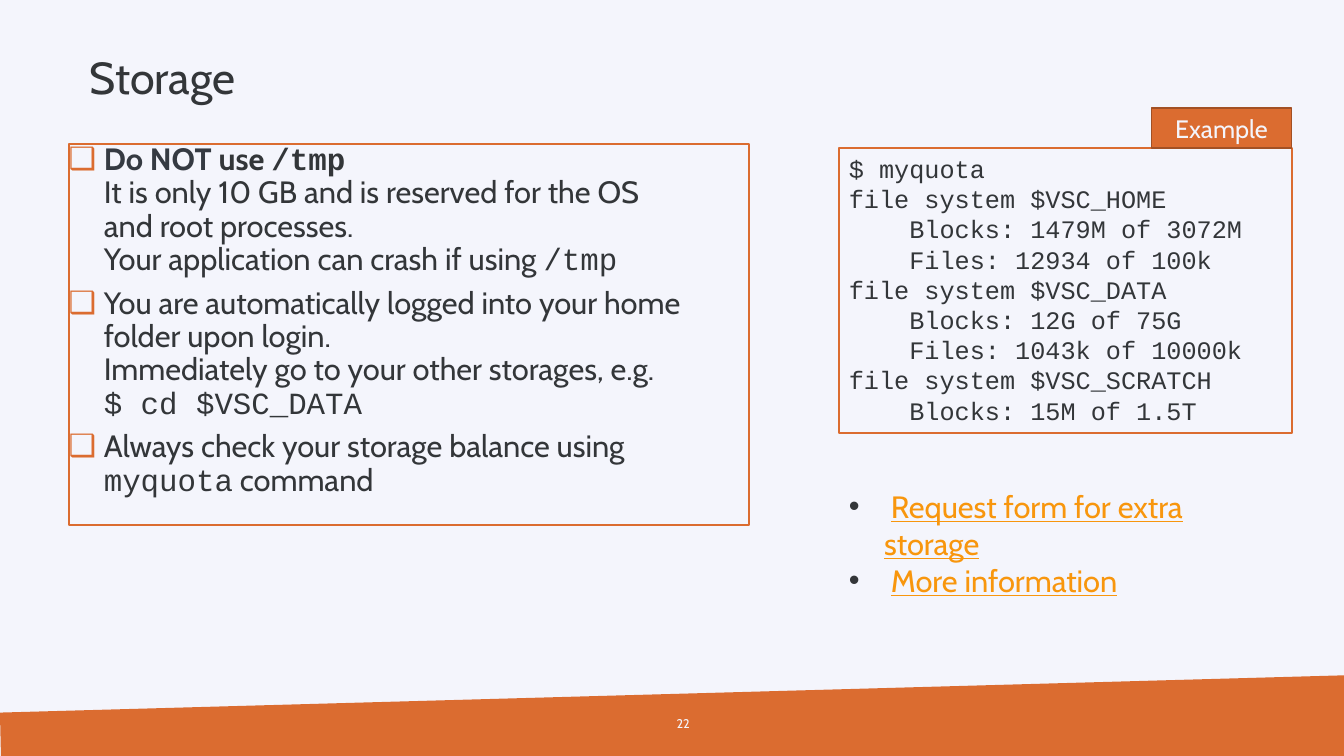
"""Build the storage slide with usage advice and a quota example."""
import pptx
import pptx.dml.color
import pptx.enum.shapes
import pptx.enum.text
import pptx.oxml
import pptx.oxml.ns
import pptx.util

Inches = pptx.util.Inches
Pt = pptx.util.Pt
RGBColor = pptx.dml.color.RGBColor
ANCHOR = pptx.enum.text.MSO_ANCHOR
ALIGN = pptx.enum.text.PP_ALIGN

PAPER = RGBColor(0xF4, 0xF5, 0xFC)
ORANGE = RGBColor(0xDB, 0x6C, 0x30)
RUST = RGBColor(0xA2, 0x50, 0x24)
INK = RGBColor(0x33, 0x36, 0x39)
SLATE = RGBColor(0x35, 0x3A, 0x42)
AMBER = RGBColor(0xF8, 0x96, 0x0D)
SANS = "Cabin"
MONO = "Courier New"


def add_box(left, top, width, height, anchor=ANCHOR.TOP, line=None, weight=1.5):
    """Add a text box, or a rectangle when a line colour is given."""
    place = [Inches(n) for n in (left, top, width, height)]
    if line is None:
        box = slide.shapes.add_textbox(*place)
    else:
        box = slide.shapes.add_shape(pptx.enum.shapes.MSO_SHAPE.RECTANGLE, *place)
        box.shadow.inherit = False
        box.fill.background()
        box.line.color.rgb = line
        box.line.width = Pt(weight)
    box.text_frame.word_wrap = True
    box.text_frame.vertical_anchor = anchor
    return box


def style(item, size, font=SANS, color=INK, bold=False):
    """Set the font of a run or paragraph."""
    item.font.size = Pt(size)
    item.font.name = font
    item.font.color.rgb = color
    item.font.bold = bold


deck = pptx.Presentation()
deck.slide_width = Inches(13.33)
deck.slide_height = Inches(7.5)
slide = deck.slides.add_slide(deck.slide_layouts[6])
slide.background.fill.solid()
slide.background.fill.fore_color.rgb = PAPER

path = slide.shapes.build_freeform(Inches(0), Inches(7.07))
path.add_line_segments(
    [(Inches(x), Inches(y)) for x, y in [(13.33, 6.7), (13.33, 7.5), (0.01, 7.5)]]
)
band = path.convert_to_shape()
band.shadow.inherit = False
band.fill.solid()
band.fill.fore_color.rgb = ORANGE
band.line.fill.background()

title = add_box(0.79, 0.36, 12.15, 0.87, ANCHOR.MIDDLE)
title.text_frame.text = "Storage"
head = title.text_frame.paragraphs[0]
head.line_spacing = 0.9
style(head.runs[0], 32)

advice = add_box(0.68, 1.43, 6.75, 3.78, line=ORANGE)
frame = advice.text_frame
frame.margin_left = frame.margin_right = frame.margin_top = frame.margin_bottom = 0
points = [
    [
        ("Do NOT ", SANS, SLATE, True),
        ("use ", SANS, INK, True),
        ("/tmp\n", MONO, INK, True),
        ("It is only 10 GB and is reserved for the OS \nand root processes.\n"
         "Your application can crash if using ", SANS, INK, False),
        ("/tmp", MONO, INK, False),
    ],
    [
        ("You are automatically logged into your home \nfolder upon login.\n"
         "Immediately go to your other storages, e.g.\n", SANS, INK, False),
        ("$ cd $VSC_DATA", MONO, INK, False),
    ],
    [
        ("Always check your storage balance using \n", SANS, INK, False),
        ("myquota", MONO, INK, False),
        (" command", SANS, INK, False),
    ],
]

links = add_box(8.32, 4.79, 4.49, 0.84)
topics = [
    [(text, SANS, color, False) for text, color in [(" ", INK), (name, AMBER)]]
    for name in ("Request form for extra storage", "More information")
]

for box, items, mark, tint in [(advice, points, "❑", ORANGE), (links, topics, "•", INK)]:
    for row, parts in enumerate(items):
        para = box.text_frame.paragraphs[0] if row == 0 else box.text_frame.add_paragraph()
        para.alignment = ALIGN.LEFT
        if box is advice:
            para.line_spacing = 0.9
            if row:
                para.space_before = Pt(7.5)
        props = para._p.get_or_add_pPr()
        props.set("marL", str(Inches(0.35)))
        props.set("indent", str(-Inches(0.35)))
        space = pptx.oxml.ns.nsdecls("a")
        for xml in (
            f'<a:buClr {space}><a:srgbClr val="{tint}"/></a:buClr>',
            f'<a:buFont {space} typeface="Arial"/>',
            f'<a:buChar {space} char="{mark}"/>',
        ):
            props.append(pptx.oxml.parse_xml(xml))
        for text, font, color, bold in parts:
            for count, line in enumerate(text.split("\n")):
                if count:
                    para.add_line_break()
                if line:
                    run = para.add_run()
                    run.text = line
                    style(run, 22, font, color, bold)
                    run.font.underline = color == AMBER

code = add_box(8.32, 1.47, 4.49, 2.83, line=ORANGE)
code.text_frame.text = """$ myquota
file system $VSC_HOME
    Blocks: 1479M of 3072M
    Files: 12934 of 100k
file system $VSC_DATA
    Blocks: 12G of 75G
    Files: 1043k of 10000k
file system $VSC_SCRATCH
    Blocks: 15M of 1.5T"""
for para in code.text_frame.paragraphs:
    para.alignment = ALIGN.LEFT
    style(para.runs[0], 18, MONO)

label = add_box(11.42, 1.07, 1.39, 0.4, ANCHOR.MIDDLE, RUST, 1)
label.fill.solid()
label.fill.fore_color.rgb = ORANGE
number = add_box(6.39, 6.98, 0.55, 0.4, ANCHOR.MIDDLE)
for box, text, size, align in [
    (label, "Example", 18, ALIGN.CENTER),
    (number, "22", 9, ALIGN.RIGHT),
]:
    box.text_frame.text = text
    para = box.text_frame.paragraphs[0]
    para.alignment = align
    style(para.runs[0], size, color=PAPER)

deck.save("out.pptx")
